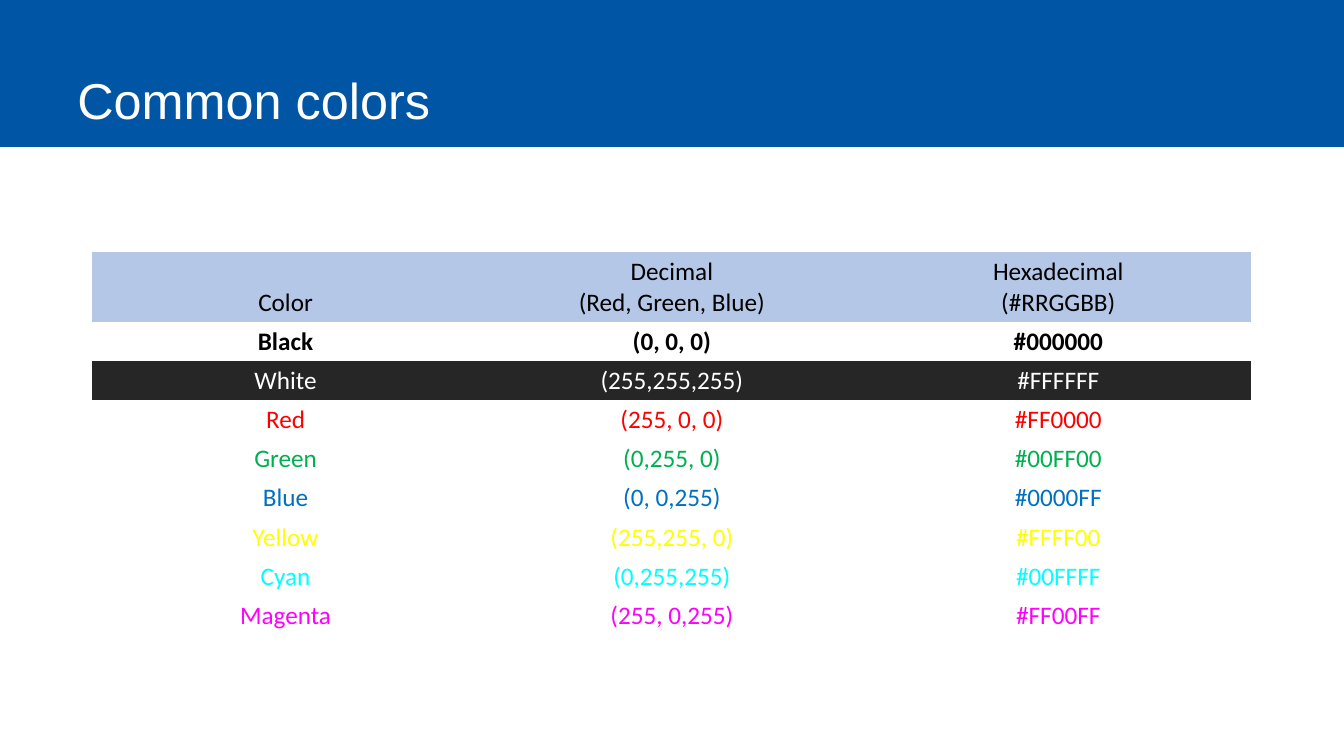
"""Build the slide of common colors with their decimal and hexadecimal codes."""
from pptx import Presentation
from pptx.dml.color import RGBColor
from pptx.enum import shapes, text
from pptx.util import Pt

TITLE = "Common colors"
HEAD = ("Color", "Decimal\v(Red, Green, Blue)", "Hexadecimal\v(#RRGGBB)")
ROWS = [
    ("Black", "(0, 0, 0)", "#000000"),
    ("White", "(255,255,255)", "#FFFFFF"),
    ("Red", "(255, 0, 0)", "#FF0000"),
    ("Green", "(0,255, 0)", "#00FF00"),
    ("Blue", "(0, 0,255)", "#0000FF"),
    ("Yellow", "(255,255, 0)", "#FFFF00"),
    ("Cyan", "(0,255,255)", "#00FFFF"),
    ("Magenta", "(255, 0,255)", "#FF00FF"),
]


class Theme:
    """Colours, fonts and type sizes."""
    band, head, dark = "0055A4", "B4C7E7", "262626"
    light, ink = "FFFFFF", "000000"
    inks = {"Green": "00B050", "Blue": "0070C0"}
    fills = {"Color": head, "White": dark}
    title, body = ("Arial", 36), ("Calibri", 18)
    plain = "{2D5ABB26-0587-4C30-8999-92F81FD0307C}"


WIDE, HIGH = 960, 540
BAND = 105
LEFT, TOP, SPAN = 66, 180, 828
TALL, STEP, PAD = 50, 28, 3


def style(par, face, color, align, bold=False):
    """Format the runs of a paragraph."""
    par.alignment = align
    for run in par.runs:
        font = run.font
        font.name, font.size, font.bold = face[0], Pt(face[1]), bold
        font.color.rgb = RGBColor.from_string(color)


def add_title(slide):
    """Draw the band and place the title on it."""
    band = slide.shapes.add_shape(
        shapes.MSO_SHAPE.RECTANGLE, 0, 0, Pt(WIDE), Pt(BAND))
    band.shadow.inherit = False
    band.fill.solid()
    band.fill.fore_color.rgb = RGBColor.from_string(Theme.band)
    band.line.fill.background()
    slide.shapes._spTree.insert(2, band._element)

    title = slide.shapes.title
    title.left, title.top, title.width, title.height = (
        Pt(n) for n in (48, 0, 846, 96.5))
    frame = title.text_frame
    frame.text = TITLE
    frame.auto_size = text.MSO_AUTO_SIZE.NONE
    frame.vertical_anchor = text.MSO_ANCHOR.BOTTOM
    par = frame.paragraphs[0]
    par.line_spacing = 0.9
    style(par, Theme.title, Theme.light, text.PP_ALIGN.LEFT)


def fill_cell(cell, words, name, code):
    """Write one cell, coloured by the name and code of its row."""
    head = name == HEAD[0]
    cell.text = words
    cell.margin_left = cell.margin_right = Pt(PAD)
    cell.margin_top = cell.margin_bottom = Pt(PAD)
    anchor = text.MSO_ANCHOR
    cell.vertical_anchor = anchor.BOTTOM if head else anchor.MIDDLE
    if name in Theme.fills:
        cell.fill.solid()
        cell.fill.fore_color.rgb = RGBColor.from_string(Theme.fills[name])
    else:
        cell.fill.background()
    color = Theme.ink if head else Theme.inks.get(name, code[1:])
    style(cell.text_frame.paragraphs[0], Theme.body, color,
          text.PP_ALIGN.CENTER, name == "Black")


def add_grid(slide):
    """Lay out the table of colors."""
    data = [HEAD, *ROWS]
    table = slide.shapes.add_table(
        len(data), len(HEAD), Pt(LEFT), Pt(TOP), Pt(SPAN),
        Pt(TALL + STEP * len(ROWS))).table
    table.first_row = table.horz_banding = False
    table._tbl.tblPr[0].text = Theme.plain
    for r, row in enumerate(data):
        table.rows[r].height = Pt(STEP if r else TALL)
        for c, words in enumerate(row):
            fill_cell(table.cell(r, c), words, row[0], row[2])


def main():
    """Build and save the deck."""
    deck = Presentation()
    deck.slide_width, deck.slide_height = Pt(WIDE), Pt(HIGH)
    slide = deck.slides.add_slide(deck.slide_layouts[5])
    add_title(slide)
    add_grid(slide)
    deck.save("out.pptx")


if __name__ == "__main__":
    main()
